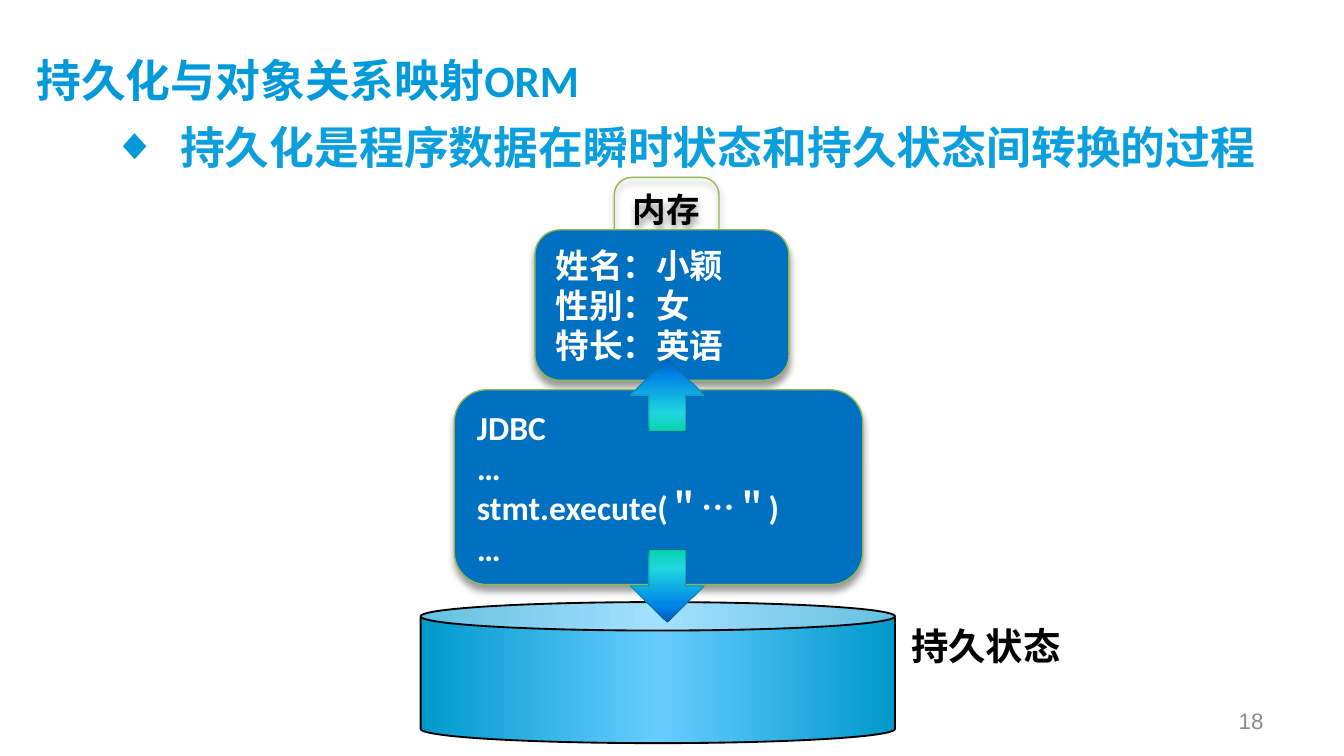
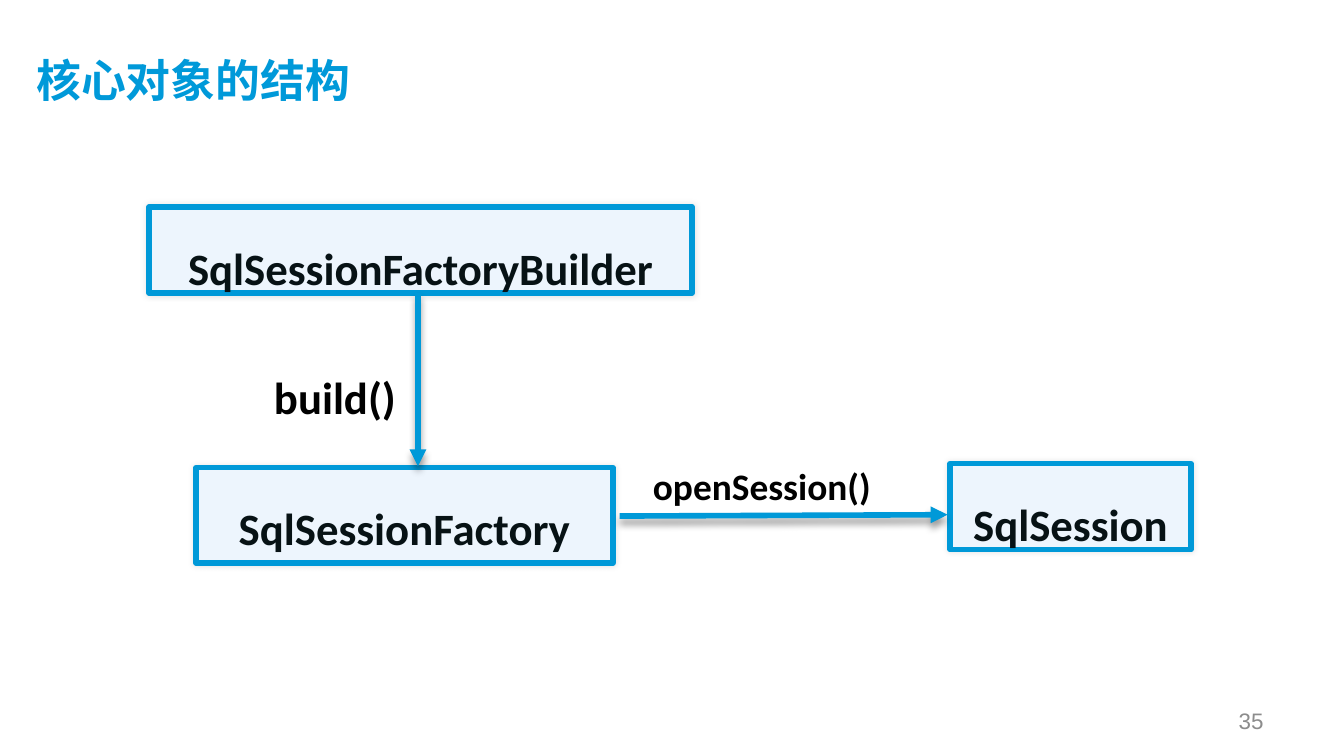
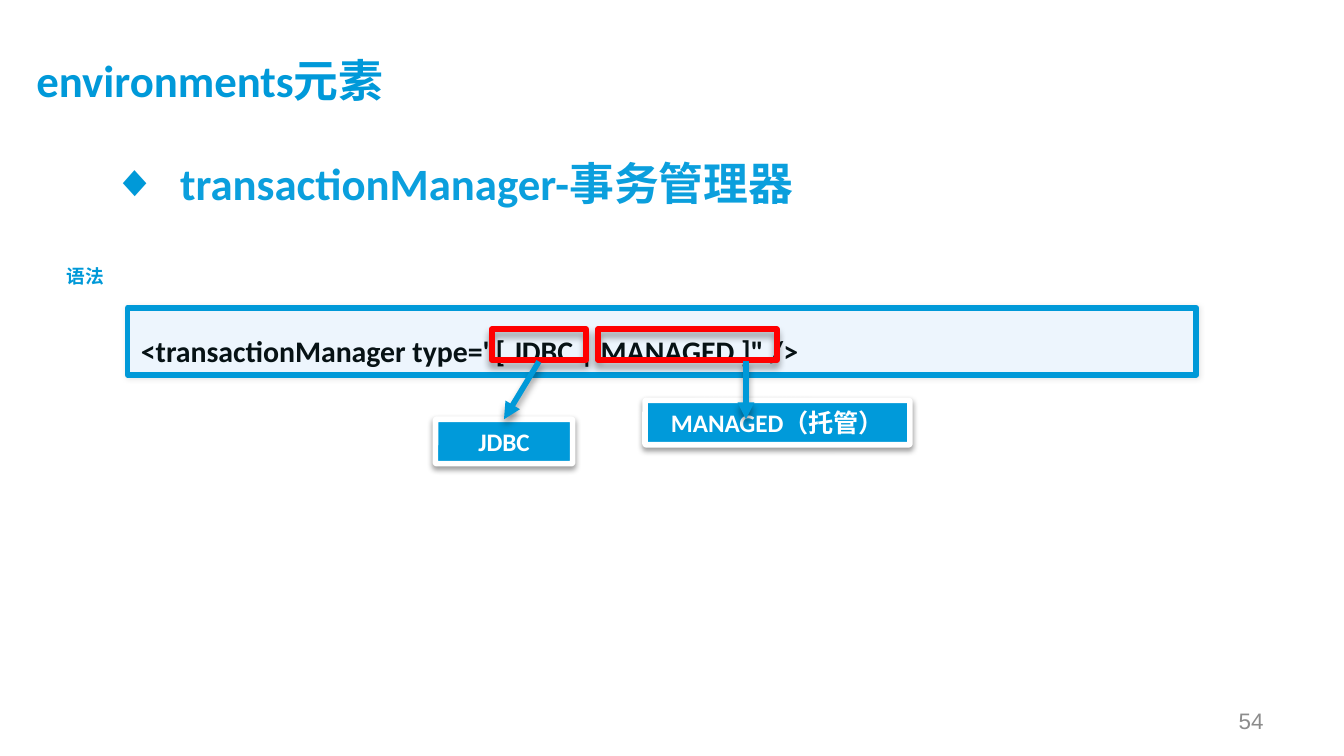
from lxml.etree import SubElement
from pptx import Presentation
from pptx.dml.color import RGBColor
from pptx.enum.shapes import MSO_CONNECTOR as Connector, MSO_SHAPE as Preset
from pptx.enum.text import MSO_ANCHOR as Anchor, MSO_AUTO_SIZE as AutoSize, PP_ALIGN as Align
from pptx.oxml.ns import qn
from pptx.util import Inches, Pt

CELL = Inches(0.1)
COLUMNS, ROWS = 100, 56.25
TITLE_ONLY, TITLE_AND_BODY = 5, 1

TITLE_BLUE = RGBColor(0x00, 0x99, 0xD9)
ACCENT = RGBColor(0x00, 0x99, 0xD8)
BODY_BLUE = RGBColor(0x0B, 0x9F, 0xDD)
CHIP_BLUE = RGBColor(0x00, 0x9A, 0xDA)
BOX_BLUE = RGBColor(0x00, 0x70, 0xC0)
PALE_BLUE = RGBColor(0xED, 0xF5, 0xFD)
INK = RGBColor(0x07, 0x12, 0x15)
GREEN = RGBColor(0x95, 0xB7, 0x4F)
TEAL = RGBColor(0x21, 0x59, 0x68)
RED = RGBColor(0xFF, 0x00, 0x00)
GREY = RGBColor(0x8C, 0x8C, 0x8C)
BLACK = RGBColor(0x00, 0x00, 0x00)
WHITE = RGBColor(0xFF, 0xFF, 0xFF)
DISK_EDGE = RGBColor(0x00, 0x99, 0xCC)
DISK_CENTRE = RGBColor(0x66, 0xCC, 0xFF)

DISK_STOPS = [(0, DISK_EDGE), (50, DISK_CENTRE), (100, DISK_EDGE)]
ARROW_STOPS = [
    (0, RGBColor(0x03, 0xD4, 0xA8)),
    (25, RGBColor(0x21, 0xD6, 0xE0)),
    (75, RGBColor(0x00, 0x87, 0xE6)),
    (100, RGBColor(0x00, 0x5C, 0xBF)),
]

LATIN, HAN, PLAIN = "Calibri", "Noto Sans CJK SC", "Arial"
DROP = {"alpha": 40, "blur": 4, "dist": 3, "angle": 90}
GLOW = {"alpha": 10, "blur": 3, "dist": 0, "angle": 0}
CHIP_DROP = {"alpha": 38, "blur": 3.1, "dist": 1.6, "angle": 90}

CARD = {"line": (GREEN, 0.75), "shadow": DROP, "radius": 0.167}
PANEL = {"fill": PALE_BLUE, "line": (ACCENT, 3), "shadow": GLOW}
CHIP = {"fill": CHIP_BLUE, "line": (WHITE, 3), "shadow": CHIP_DROP, "radius": 0.026}
MARKER = {"line": (RED, 3), "shadow": DROP}


def apply(target, formats):
    """Set every attribute named in a dict of format values."""
    for attribute, value in formats.items():
        setattr(target, attribute, value)


def cells(*numbers):
    """Turn grid columns and rows into lengths."""
    return [round(number * CELL) for number in numbers]


def font(size, color, name=LATIN, bold=True):
    """Describe a text style."""
    return {"name": name, "size": Pt(size), "bold": bold}, color


def write(frame, lines, style, paragraph_format=None, frame_format=None):
    """Fill a text frame, one paragraph for each line."""
    face, color = style
    layout = {"word_wrap": True, "auto_size": AutoSize.NONE, "vertical_anchor": Anchor.TOP}
    apply(frame, {**layout, **(frame_format or {})})
    for index, line in enumerate(lines):
        paragraph = frame.add_paragraph() if index else frame.paragraphs[0]
        apply(paragraph, {"alignment": Align.LEFT, **(paragraph_format or {})})
        run = paragraph.add_run()
        run.text = line
        apply(run.font, face)
        run.font.color.rgb = color
        SubElement(run.font._element, qn("a:ea"), typeface=HAN)


def add_color(parent, color, alpha=None):
    """Append a colour, with an opacity in percent if one is given."""
    tint = SubElement(parent, qn("a:srgbClr"), val=str(color))
    if alpha is not None:
        SubElement(tint, qn("a:alpha"), val=str(alpha * 1000))


def cast_shadow(properties, shadow):
    """Give shape properties an outer shadow, or none at all."""
    effects = properties.find(qn("a:effectLst"))
    if effects is None:
        effects = SubElement(properties, qn("a:effectLst"))
    if shadow:
        outer = SubElement(
            effects, qn("a:outerShdw"), blurRad=str(Pt(shadow["blur"])),
            dist=str(Pt(shadow["dist"])), dir=str(shadow["angle"] * 60000),
            algn="ctr", rotWithShape="0")
        add_color(outer, BLACK, shadow["alpha"])


def fill_gradient(shape, stops, angle):
    """Fill a shape with a linear gradient of several stops."""
    shape.fill.gradient()
    gradient = shape._element.spPr.find(qn("a:gradFill"))
    stop_list = gradient.find(qn("a:gsLst"))
    stop_list.clear()
    for position, color in stops:
        add_color(SubElement(stop_list, qn("a:gs"), pos=str(position * 1000)), color)
    gradient.find(qn("a:lin")).set("ang", str(angle * 60000))


def add_block(slide, preset, at, line, fill=None, shadow=None, radius=None):
    """Draw a preset shape with its outline, fill and shadow."""
    block = slide.shapes.add_shape(preset, *cells(*at))
    if radius is not None:
        block.adjustments[0] = radius
    if fill is None:
        block.fill.background()
    else:
        block.fill.solid()
        block.fill.fore_color.rgb = fill
    color, width = line
    block.line.color.rgb = color
    block.line.width = Pt(width)
    block.shadow.inherit = False
    cast_shadow(block._element.spPr, shadow)
    return block


def add_panel(slide, preset, at, text, size, align, radius=None):
    """Draw a pale framed panel holding one line of code."""
    panel = add_block(slide, preset, at, radius=radius, **PANEL)
    write(panel.text_frame, [text], font(size, INK), {"alignment": align, "line_spacing": 1.5})


def add_transfer_arrow(slide, top, upward=False):
    """Draw a block arrow between two storage layers."""
    arrow = add_block(slide, Preset.DOWN_ARROW, (46.9, top, 5.5, 5.4), (TEAL, 0.75))
    fill_gradient(arrow, ARROW_STOPS, 90)
    add_alpha = arrow.line.fill.fore_color._xFill.find(qn("a:srgbClr"))
    SubElement(add_alpha, qn("a:alpha"), val="31000")
    if upward:
        arrow._element.spPr.find(qn("a:xfrm")).set("flipV", "1")


def add_link(slide, start, end):
    """Draw a line with an arrowhead at its end."""
    link = slide.shapes.add_connector(Connector.STRAIGHT, *cells(*start, *end))
    link.line.color.rgb = ACCENT
    link.line.width = Pt(3)
    SubElement(link.line._get_or_add_ln(), qn("a:tailEnd"), type="triangle")
    cast_shadow(link._element.spPr, DROP)


def add_label(slide, at, text, style, align=Align.LEFT, **frame_format):
    """Place a line of free text."""
    label = slide.shapes.add_textbox(*cells(*at))
    write(label.text_frame, [text], style, {"alignment": align}, frame_format)


def move(placeholder, at):
    """Place a placeholder on the grid."""
    apply(placeholder, dict(zip(("left", "top", "width", "height"), cells(*at))))


def start_slide(deck, layout, title, number):
    """Add a slide with its title and page number."""
    slide = deck.slides.add_slide(deck.slide_layouts[layout])
    move(slide.shapes.title, (2.7, 2.3, 89.5, 7.7))
    write(slide.shapes.title.text_frame, [title], font(24, TITLE_BLUE), None, {
        "vertical_anchor": Anchor.MIDDLE, "margin_left": 0, "margin_top": 0,
        "margin_right": Inches(0.1), "margin_bottom": Inches(0.05)})
    add_label(slide, (71.7, 52.1, 23.3, 3), number, font(12, GREY, PLAIN, False),
              Align.RIGHT, vertical_anchor=Anchor.MIDDLE)
    return slide


def add_topic(slide, at, text):
    """Fill the body placeholder with one diamond-bulleted topic."""
    body = slide.placeholders[1]
    move(body, at)
    bullet = body.text_frame.paragraphs[0]._p.get_or_add_pPr()
    apply_indent = {"marL": Inches(0.5), "indent": -Inches(0.5)}
    for key, value in apply_indent.items():
        bullet.set(key, str(value))
    add_color(SubElement(bullet, qn("a:buClr")), ACCENT)
    SubElement(bullet, qn("a:buChar"), char="◆")
    write(body.text_frame, [text], font(24, BODY_BLUE), {"space_before": Pt(0)})


def build_persistence(deck):
    """Show data moving between memory and the database."""
    slide = start_slide(deck, TITLE_AND_BODY, "持久化与对象关系映射ORM", "18")
    add_topic(slide, (7.4, 8.4, 87.6, 39.8), "持久化是程序数据在瞬时状态和持久状态间转换的过程")
    cards = [
        ((45.7, 13.2, 7.8, 7.8), None, ["内存"], font(18, BLACK, HAN), Anchor.TOP),
        ((39.8, 17.1, 18.9, 11.2), BOX_BLUE, ["姓名：小颖", "性别：女", "特长：英语"],
         font(18, WHITE, HAN), Anchor.MIDDLE),
        ((33.8, 29, 30.4, 14.5), BOX_BLUE, ["JDBC", "…", "stmt.execute(＂…＂)", "…"],
         font(18, WHITE), Anchor.MIDDLE),
    ]
    for at, fill, lines, style, anchor in cards:
        card = add_block(slide, Preset.ROUNDED_RECTANGLE, at, fill=fill, **CARD)
        write(card.text_frame, lines, style, None, {"vertical_anchor": anchor})
    database = add_block(slide, Preset.CAN, (31.3, 44.8, 35.3, 10.5), (BLACK, 1), radius=0.202)
    fill_gradient(database, DISK_STOPS, 0)
    add_transfer_arrow(slide, 40.9)
    add_label(slide, (66.8, 45.9, 21.8, 5.3), "持久状态", font(20, BLACK, HAN))
    add_transfer_arrow(slide, 26.7, upward=True)


def build_core_objects(deck):
    """Show how the builder leads to a session."""
    slide = start_slide(deck, TITLE_ONLY, "核心对象的结构", "35")
    for at, name in [
        ((11.1, 15.4, 40.4, 6.4), "SqlSessionFactoryBuilder"),
        ((14.6, 34.8, 31, 7.1), "SqlSessionFactory"),
        ((70.7, 34.5, 17.9, 6.4), "SqlSession"),
    ]:
        add_panel(slide, Preset.RECTANGLE, at, name, 24, Align.CENTER)
    add_label(slide, (19.4, 27, 14.1, 5), "build()", font(24, BLACK))
    add_label(slide, (47.6, 34, 22.7, 4.4), "openSession()", font(20, BLACK))
    add_link(slide, (31.1, 21.8), (31.1, 34.7))
    add_link(slide, (46.1, 38.4), (70.5, 38.3))


def build_environments(deck):
    """Explain the two transaction manager types."""
    slide = start_slide(deck, TITLE_AND_BODY, "environments元素", "54")
    add_topic(slide, (7.4, 11.1, 84.9, 37.1), "transactionManager-事务管理器")
    add_panel(slide, Preset.ROUNDED_RECTANGLE, (9.5, 22.9, 79.5, 5),
              '<transactionManager type="[ JDBC | MANAGED ]" />', 16, Align.LEFT, radius=0)
    for chip_at, name, marker_at in [
        ((32.4, 31.2, 10.2, 3.3), "JDBC", (36.6, 24.5, 7, 2.3)),
        ((48, 29.8, 19.7, 3.3), "MANAGED（托管）", (44.5, 24.5, 13.3, 2.3)),
    ]:
        chip = add_block(slide, Preset.ROUNDED_RECTANGLE, chip_at, **CHIP)
        write(chip.text_frame, [name], font(13.5, WHITE), {"alignment": Align.CENTER})
        add_block(slide, Preset.RECTANGLE, marker_at, **MARKER)
    add_label(slide, (2, 19.2, 8.7, 3.6), "语法", font(10, ACCENT, PLAIN),
              Align.CENTER, word_wrap=False)
    for start, end in [((40.1, 26.9), (37.5, 31.2)), ((55.5, 26.9), (55.5, 31.2))]:
        add_link(slide, start, end)


def main():
    """Build the deck and save it."""
    deck = Presentation()
    deck.slide_width, deck.slide_height = cells(COLUMNS, ROWS)
    build_persistence(deck)
    build_core_objects(deck)
    build_environments(deck)
    deck.save("out.pptx")


if __name__ == "__main__":
    main()
